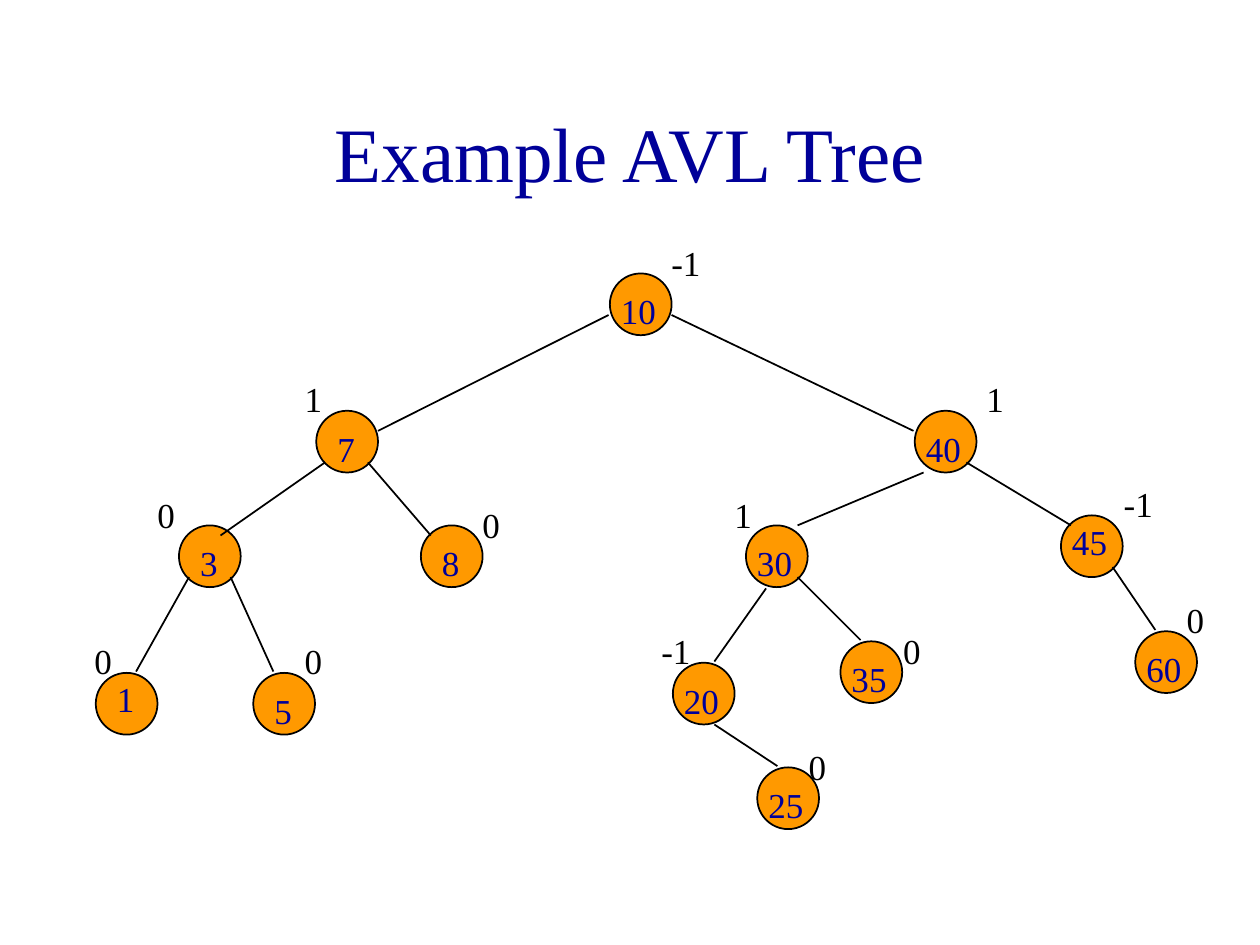
from lxml import etree
from pptx import Presentation, util as u
from pptx.dml.color import RGBColor
from pptx.enum import shapes, text
from pptx.oxml.ns import qn

NAVY, ORANGE, BLACK = "000099", "FF9900", "000000"
DIAMETER = 0.49
LABEL_HEIGHT = 0.43

# key: (left, top) in the tree, balance factor, balance offset, key drop
NODES = {
    10: ((4.34, 0.67), -1, (0.39, -0.3), 0.08),
    7: ((2.01, 1.76), 1, (-0.19, -0.31), 0.08),
    40: ((6.76, 1.76), 1, (0.47, -0.31), 0.08),
    3: ((0.92, 2.67), 0, (-0.27, -0.3), 0.08),
    8: ((2.84, 2.67), 0, (0.39, -0.22), 0.08),
    30: ((5.42, 2.67), 1, (-0.19, -0.3), 0.08),
    45: ((7.92, 2.59), -1, (0.4, -0.31), -0.01),
    1: ((0.26, 3.84), 0, (-0.11, -0.31), -0.01),
    5: ((1.51, 3.84), 0, (0.31, -0.31), 0.08),
    20: ((4.84, 3.76), -1, (-0.19, -0.31), 0.08),
    35: ((6.17, 3.59), 0, (0.4, -0.14), 0.08),
    60: ((8.51, 3.51), 0, (0.31, -0.31), 0.08),
    25: ((5.51, 4.59), 0, (0.31, -0.22), 0.08),
}

# parent, child, then the offset of each end from its node's corner
EDGES = [
    (10, 7, (-0.01, 0.33), (0.49, 0.16)),
    (10, 40, (0.49, 0.33), (-0.01, 0.16)),
    (7, 3, (0.07, 0.41), (0.33, 0.08)),
    (7, 8, (0.41, 0.41), (0.08, 0.08)),
    (40, 30, (0.07, 0.49), (0.41, 0)),
    (40, 45, (0.41, 0.41), (0.08, 0.08)),
    (3, 1, (0.08, 0.41), (0.32, -0.01)),
    (3, 5, (0.41, 0.41), (0.16, -0.01)),
    (30, 20, (0.16, 0.5), (0.33, -0.01)),
    (30, 35, (0.41, 0.41), (0.16, -0.01)),
    (45, 60, (0.41, 0.41), (0.16, -0.01)),
    (20, 25, (0.33, 0.49), (0.16, -0.01)),
]


def color(value):
    return RGBColor.from_string(value)


def shift(point, offset):
    return point[0] + offset[0], point[1] + offset[1]


def outline(line):
    line.color.rgb = color(BLACK)
    line.width = u.Pt(1)


def add_label(slide, box, wording, size, ink, wrap=True, **frame_format):
    label = slide.shapes.add_textbox(*map(u.Inches, box))
    frame = label.text_frame
    for name, value in {"word_wrap": wrap, **frame_format}.items():
        setattr(frame, name, value)
    paragraph = frame.paragraphs[0]
    run = paragraph.add_run()
    run.text = wording
    font_format = {"name": "Times New Roman", "size": u.Pt(size)}
    for name, value in font_format.items():
        setattr(run.font, name, value)
    run.font.color.rgb = color(ink)
    return paragraph


def add_title(slide, box):
    heading = add_label(slide, box, "Example AVL Tree", 44, NAVY,
                        vertical_anchor=text.MSO_ANCHOR.MIDDLE)
    heading.alignment = text.PP_ALIGN.CENTER


def add_node(slide, corner):
    node = slide.shapes.add_shape(
        shapes.MSO_SHAPE.OVAL, *map(u.Inches, (*corner, DIAMETER, DIAMETER)))
    node.shadow.inherit = False
    node.fill.solid()
    node.fill.fore_color.rgb = color(ORANGE)
    outline(node.line)


def add_edge(slide, start, end):
    edge = slide.shapes.add_connector(
        shapes.MSO_CONNECTOR.STRAIGHT, *map(u.Inches, (*start, *end)))
    outline(edge.line)
    etree.SubElement(edge._element.spPr, qn("a:effectLst"))


def add_tree(slide, origin):
    corners = {key: shift(origin, node[0]) for key, node in NODES.items()}

    # Nodes, with the edges over them
    for corner in corners.values():
        add_node(slide, corner)
    for parent, child, leave, arrive in EDGES:
        add_edge(slide, shift(corners[parent], leave),
                 shift(corners[child], arrive))

    # Balance factors beside the nodes, keys inside them
    for key, (_, balance, balance_offset, drop) in NODES.items():
        balance_width = 0.43 if balance < 0 else 0.34
        balance_box = (*shift(corners[key], balance_offset),
                       balance_width, LABEL_HEIGHT)
        add_label(slide, balance_box, str(balance), 20, BLACK, wrap=False)
        indent = 0.07 if key < 10 else -0.01
        key_box = (*shift(corners[key], (indent, drop)), 0.5, LABEL_HEIGHT)
        add_label(slide, key_box, str(key), 20, NAVY)


def main():
    deck = Presentation()
    deck.slide_width, deck.slide_height = u.Inches(10), u.Inches(7.5)
    slide = deck.slides.add_slide(deck.slide_layouts[6])
    add_title(slide, (0.75, 0.58, 8.5, 1.25))
    add_tree(slide, (0.5, 1.5))
    deck.save("out.pptx")


if __name__ == "__main__":
    main()
